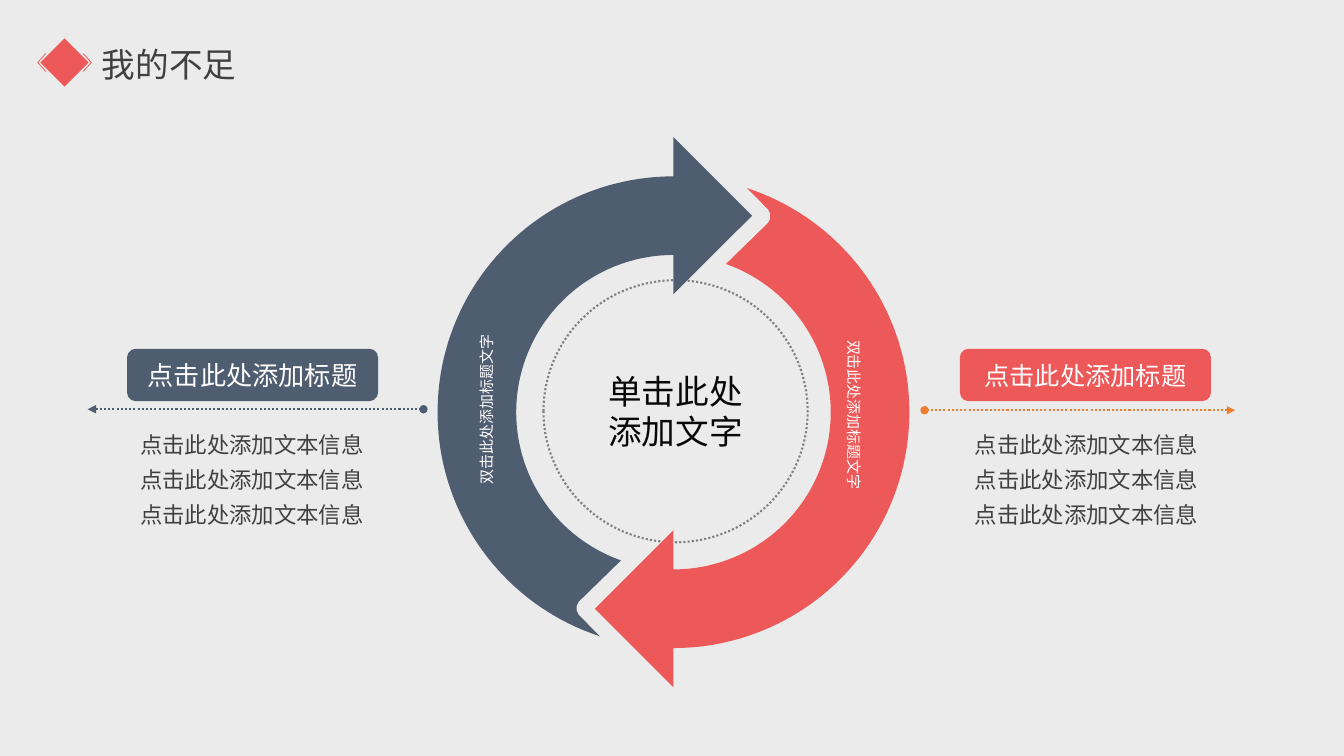
"""Build the slide of two circling arrows with a captioned panel on each side."""
import math

import pptx
import pptx.util
import pptx.dml.color
import pptx.enum.dml
import pptx.enum.shapes
import pptx.enum.text
import pptx.oxml
import pptx.oxml.ns

Inches = pptx.util.Inches
RGBColor = pptx.dml.color.RGBColor
Align = pptx.enum.text.PP_ALIGN
Anchor = pptx.enum.text.MSO_ANCHOR
Shape = pptx.enum.shapes.MSO_SHAPE

NAVY = RGBColor(0x4F, 0x5D, 0x70)
RED = RGBColor(0xED, 0x58, 0x58)
ORANGE = RGBColor(0xED, 0x7D, 0x31)
PALE = RGBColor(0xEB, 0xEB, 0xEB)
GRAY = RGBColor(0x80, 0x80, 0x80)
DARK = RGBColor(0x40, 0x40, 0x40)
INK = RGBColor(0x08, 0x08, 0x08)
WHITE = RGBColor(0xFF, 0xFF, 0xFF)

FONT = "Noto Sans CJK SC"
CENTER_X, CENTER_Y = 6.68, 4.09
OUTER_RADIUS, INNER_RADIUS = 2.34, 1.56


def add_xml(parent, tag, **attributes):
    """Append a DrawingML element to a parent element."""
    child = pptx.oxml.parse_xml(f"<a:{tag} {pptx.oxml.ns.nsdecls('a')}/>")
    for name, value in attributes.items():
        child.set(name, value)
    parent.append(child)


def write(shape, text, size, color, align=Align.CENTER, anchor=Anchor.MIDDLE,
          latin=FONT, spacing=1.0):
    """Put formatted text, one paragraph per line, into a shape."""
    frame = shape.text_frame
    frame.text = text
    frame.word_wrap = False
    frame.vertical_anchor = anchor
    for para in frame.paragraphs:
        para.alignment = align
        para.line_spacing = spacing
        para.space_before = pptx.util.Pt(0)
        for span in para.runs:
            span.font.size = pptx.util.Pt(size)
            span.font.color.rgb = color
            span.font.name = latin
            add_xml(span.font._element, "ea", typeface=FONT)


def place(shape, left, top, width, height):
    """Move and resize a shape, in inches."""
    shape.left, shape.top = Inches(left), Inches(top)
    shape.width, shape.height = Inches(width), Inches(height)


def style_dotted(line, color):
    """Give a line the dotted stroke."""
    line.color.rgb = color
    line.width = pptx.util.Pt(1.5)
    line.dash_style = pptx.enum.dml.MSO_LINE.ROUND_DOT


def add_outline(slide, contours, color):
    """Draw closed contours, in inches, as one filled freeform."""
    contours = [[(Inches(x), Inches(y)) for x, y in contour] for contour in contours]
    builder = slide.shapes.build_freeform(*contours[0][0])
    builder.add_line_segments(contours[0][1:], close=True)
    for contour in contours[1:]:
        builder.move_to(*contour[0])
        builder.add_line_segments(contour[1:], close=True)
    shape = builder.convert_to_shape()
    shape.shadow.inherit = False
    shape.fill.solid()
    shape.fill.fore_color.rgb = color
    shape.line.fill.background()


def add_marker(slide):
    """Draw the diamond between two thin chevrons beside the title."""
    middle_x, middle_y = 0.64, 0.62
    chevron = [(0.18, -0.09), (0.19, -0.09), (0.27, 0), (0.19, 0.09), (0.18, 0.09), (0.26, 0)]
    diamond = [(0, -0.24), (0.24, 0), (0, 0.24), (-0.24, 0)]
    contours = [chevron, [(-x, y) for x, y in chevron], diamond]
    add_outline(slide, [[(middle_x + x, middle_y + y) for x, y in contour]
                        for contour in contours], RED)


def arc(radius, start, end):
    """List arc points, with angles in degrees anticlockwise from the top."""
    steps = 80
    angles = [math.radians(start + (end - start) * step / steps) for step in range(steps + 1)]
    return [(-radius * math.sin(angle), -radius * math.cos(angle)) for angle in angles]


def add_circling_arrow(slide, color, side):
    """Draw one half of the cycle; side -1 is the half turned by 180 degrees."""
    notch = [(-0.94, 2.01), (-0.96, 1.97), (-0.96, 1.92), (-0.94, 1.88)]
    head = [(0, -1.17), (0.78, -1.95), (0, -2.73)]
    points = arc(OUTER_RADIUS, 0, 161.8) + notch + arc(INNER_RADIUS, 160.5, 0) + head
    add_outline(slide, [[(CENTER_X + side * x, CENTER_Y + side * y) for x, y in points]], color)


def add_ring_label(slide, left, top, width, height, rotation):
    """Add a label running along one side of the ring."""
    box = slide.shapes.add_textbox(0, 0, 0, 0)
    place(box, left, top, width, height)
    box.rotation = rotation
    write(box, "双击此处添加标题文字", 10.7, WHITE, anchor=Anchor.TOP)


def add_hub(slide):
    """Add the dotted circle with the central text."""
    hub = slide.shapes.add_shape(Shape.OVAL, Inches(5.39), Inches(2.78), Inches(2.62), Inches(2.6))
    hub.shadow.inherit = False
    hub.fill.background()
    style_dotted(hub.line, GRAY)
    write(hub, "单击此处\n添加文字", 24, INK)


def add_heading(slide, left, color, size, latin):
    """Add the rounded heading of a panel."""
    heading = slide.shapes.add_shape(Shape.ROUNDED_RECTANGLE, Inches(left), Inches(3.46),
                                     Inches(2.49), Inches(0.52))
    heading.shadow.inherit = False
    heading.fill.solid()
    heading.fill.fore_color.rgb = color
    heading.line.fill.background()
    write(heading, "点击此处添加标题", size, WHITE, latin=latin)


def add_pointer(slide, tip, base, y, color):
    """Add a dotted line from an arrow tip to a round base."""
    pointer = slide.shapes.add_connector(pptx.enum.shapes.MSO_CONNECTOR.STRAIGHT,
                                         Inches(tip), Inches(y), Inches(base), Inches(y))
    style_dotted(pointer.line, color)
    stroke = pointer.line._get_or_add_ln()
    add_xml(stroke, "headEnd", type="triangle")
    add_xml(stroke, "tailEnd", type="oval")
    add_xml(pointer._element.spPr, "effectLst")


def fill_body(body, left):
    """Place a body placeholder and fill it with plain lines."""
    place(body, left, 4.15, 2.45, 1.15)
    write(body, "\n".join(["点击此处添加文本信息"] * 3), 16, DARK, Align.LEFT, Anchor.TOP, spacing=1.3)
    body.text_frame.auto_size = pptx.enum.text.MSO_AUTO_SIZE.SHAPE_TO_FIT_TEXT
    for para in body.text_frame.paragraphs:
        properties = para._p.get_or_add_pPr()
        properties.set("marL", "0")
        properties.set("indent", "0")
        add_xml(properties, "buNone")


def main():
    """Build and save the deck."""
    deck = pptx.Presentation()
    deck.slide_width, deck.slide_height = Inches(13.33), Inches(7.5)
    slide = deck.slides.add_slide(deck.slide_layouts.get_by_name("Two Content"))
    slide.background.fill.solid()
    slide.background.fill.fore_color.rgb = PALE

    title, left_body, right_body = slide.placeholders
    place(title, 0.91, 0.39, 1.55, 0.5)
    write(title, "我的不足", 24, DARK, Align.LEFT, Anchor.TOP)
    title.text_frame.auto_size = pptx.enum.text.MSO_AUTO_SIZE.SHAPE_TO_FIT_TEXT
    add_marker(slide)

    add_hub(slide)
    add_circling_arrow(slide, NAVY, 1)
    add_circling_arrow(slide, RED, -1)
    add_ring_label(slide, 4.58, 2.62, 3.11, 2.89, 270)
    add_ring_label(slide, 5.19, 2.45, 3.52, 3.33, 90)

    add_pointer(slide, 12.25, 9.17, 4.07, ORANGE)
    add_heading(slide, 9.52, RED, 18, FONT)
    fill_body(right_body, 9.57)

    add_heading(slide, 1.26, NAVY, 18.7, "Calibri")
    add_pointer(slide, 0.87, 4.2, 4.06, NAVY)
    fill_body(left_body, 1.29)

    deck.save("out.pptx")


if __name__ == "__main__":
    main()
